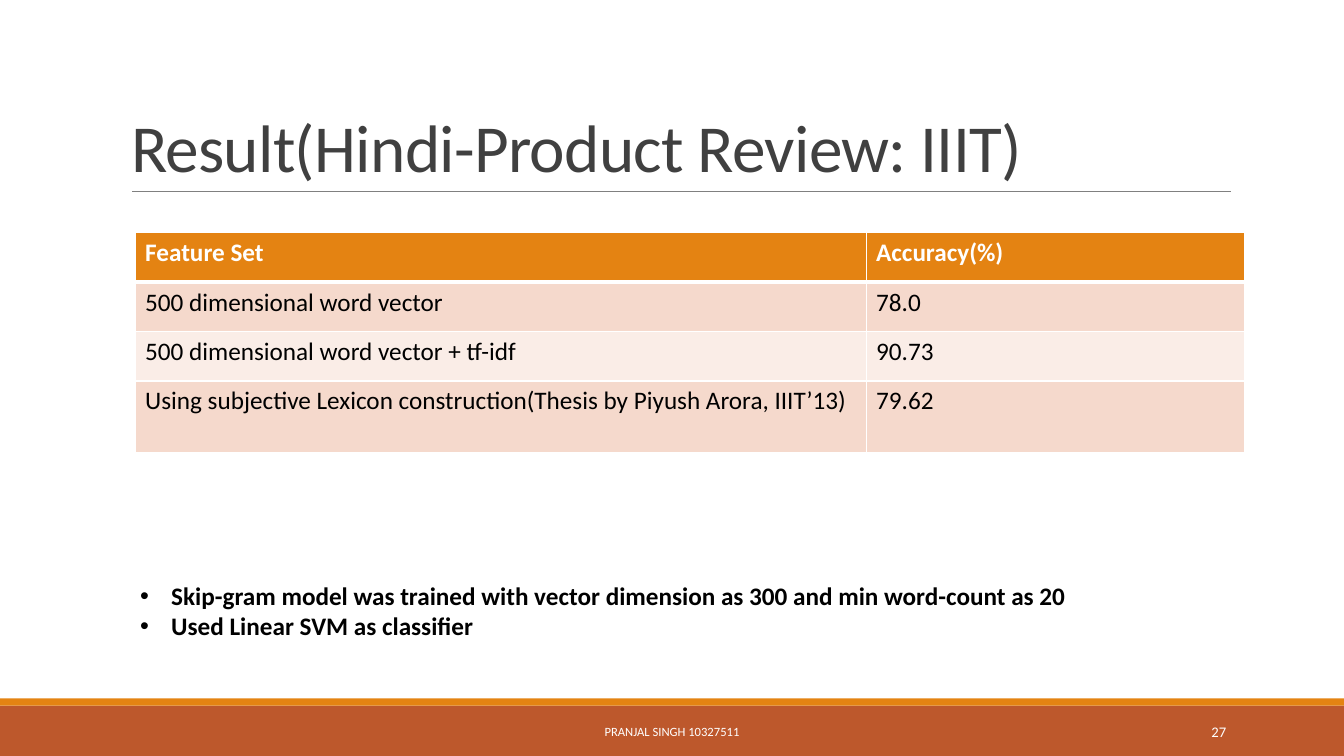
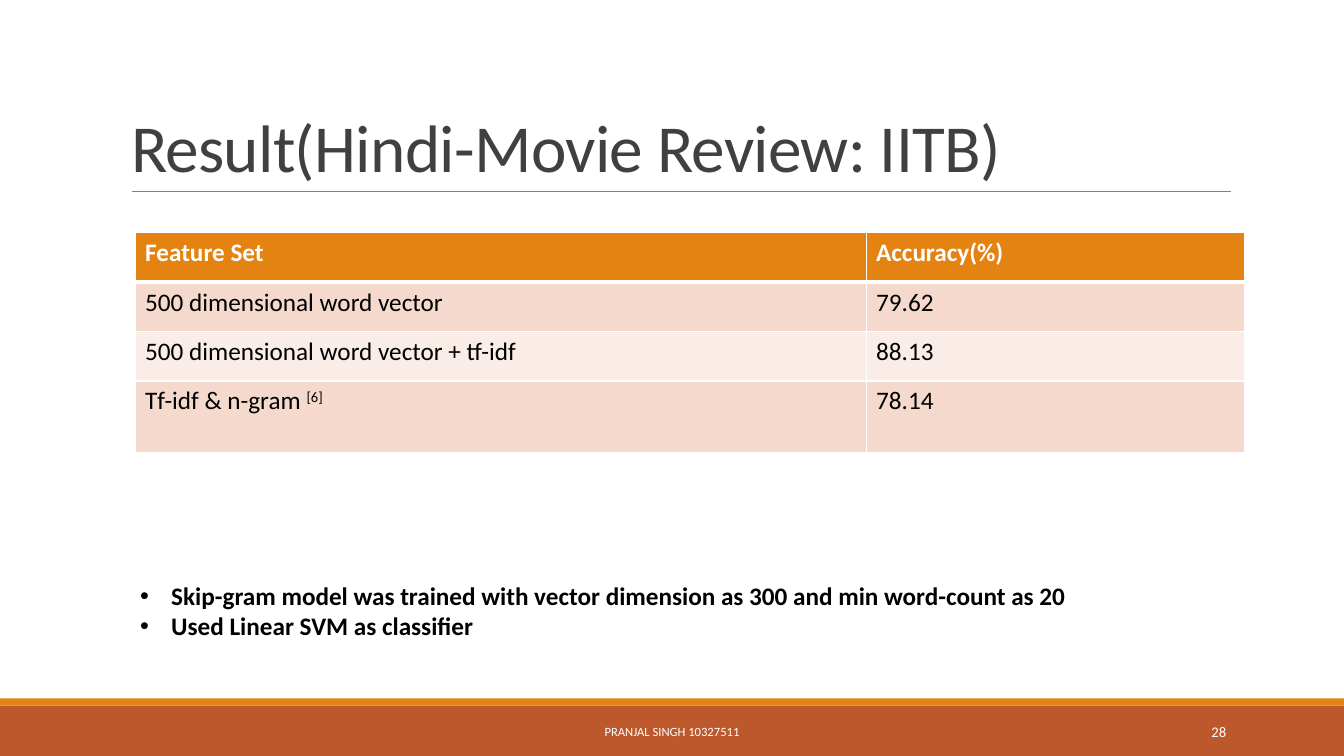
from lxml.etree import SubElement
from pptx import Presentation
from pptx.dml.color import RGBColor
from pptx.enum.shapes import MSO_CONNECTOR, MSO_SHAPE
from pptx.enum.text import MSO_ANCHOR, MSO_AUTO_SIZE, PP_ALIGN
from pptx.oxml.ns import qn
from pptx.util import Inches, Pt

FIRST_NUMBER = 27
FOOTER = "PRANJAL SINGH 10327511"
HEADER = ("Feature Set", "Accuracy(%)")
NOTES = (
    "Skip-gram model was trained with vector dimension as 300 and min word-count as 20",
    "Used Linear SVM as classifier",
)
RESULTS = [
    {
        "title": "Result(Hindi-Product Review: IIIT)",
        "rows": [
            ("500 dimensional word vector", "78.0"),
            ("500 dimensional word vector + tf-idf", "90.73"),
            ("Using subjective Lexicon construction(Thesis by Piyush Arora, IIIT’13)", "79.62"),
        ],
        "citation": "",
    },
    {
        "title": "Result(Hindi-Movie Review: IITB)",
        "rows": [
            ("500 dimensional word vector", "79.62"),
            ("500 dimensional word vector + tf-idf", "88.13"),
            ("Tf-idf & n-gram ", "78.14"),
        ],
        "citation": "[6]",
    },
]

WHITE = RGBColor(0xFF, 0xFF, 0xFF)
BLACK = RGBColor(0, 0, 0)
CHARCOAL = RGBColor(0x40, 0x40, 0x40)
GRAY = RGBColor(0x80, 0x80, 0x80)
ORANGE = RGBColor(0xE4, 0x83, 0x12)
RUST = RGBColor(0xBD, 0x58, 0x2C)
BAND_DARK = RGBColor(0xF5, 0xD9, 0xCC)
BAND_LIGHT = RGBColor(0xFA, 0xED, 0xE7)

TITLE_FONT = {"size": Pt(48), "color": CHARCOAL, "bold": False}
HEADER_FONT = {"size": Pt(18), "color": WHITE, "bold": True}
CELL_FONT = {"size": Pt(18), "color": BLACK, "bold": False}
NOTE_FONT = {"size": Pt(18), "color": BLACK, "bold": True}
FOOTER_FONT = {"size": Pt(9), "color": WHITE, "bold": False}
NUMBER_FONT = {"size": Pt(10.5), "color": WHITE, "bold": False}

BANDS = [((0, 7, 13.33, 0.5), RUST), ((0, 6.93, 13.33, 0.07), ORANGE)]
RULE = (1.31, 1.9, 12.21, 1.9)
TITLE_BOX = (1.2, 0.31, 11, 1.59)
TABLE_BOX = (1.34, 2.31, 11, 2.18)
FOOTER_BOX = (4.03, 7.06, 5.27, 0.4)
NUMBER_BOX = (10.83, 7.06, 1.43, 0.4)
NOTES_BOX = (1.29, 5.71, 10.81, 0.71)
COLUMN_WIDTHS = (7.25, 3.75)
ROW_HEIGHTS = (0.49, 0.49, 0.49, 0.71)


def inches(values):
    return [Inches(value) for value in values]


def add_run(paragraph, text, font_values):
    run = paragraph.add_run()
    run.text = text
    run.font.name = "Calibri"
    for name, value in font_values.items():
        if name == "color":
            run.font.color.rgb = value
        else:
            setattr(run.font, name, value)
    return run


def add_text_box(slide, box, anchor=MSO_ANCHOR.TOP):
    frame = slide.shapes.add_textbox(*inches(box)).text_frame
    frame.word_wrap = True
    frame.vertical_anchor = anchor
    return frame


def add_footer_text(slide, box, text, font_values, alignment):
    paragraph = add_text_box(slide, box, MSO_ANCHOR.MIDDLE).paragraphs[0]
    paragraph.alignment = alignment
    add_run(paragraph, text, font_values)


def add_frame(slide, number):
    for box, color in BANDS:
        band = slide.shapes.add_shape(MSO_SHAPE.RECTANGLE, *inches(box))
        band.shadow.inherit = False
        band.fill.solid()
        band.fill.fore_color.rgb = color
        band.line.fill.background()
    rule = slide.shapes.add_connector(MSO_CONNECTOR.STRAIGHT, *inches(RULE))
    rule.line.color.rgb = GRAY
    rule.line.width = Pt(0.5)
    SubElement(rule._element.spPr, qn("a:effectLst"))
    add_footer_text(slide, FOOTER_BOX, FOOTER, FOOTER_FONT, PP_ALIGN.CENTER)
    add_footer_text(slide, NUMBER_BOX, str(number), NUMBER_FONT, PP_ALIGN.RIGHT)


def set_title(slide, text):
    title = slide.shapes.title
    title.left, title.top, title.width, title.height = inches(TITLE_BOX)
    frame = title.text_frame
    frame.word_wrap = True
    frame.auto_size = MSO_AUTO_SIZE.NONE
    frame.vertical_anchor = MSO_ANCHOR.BOTTOM
    paragraph = frame.paragraphs[0]
    paragraph.alignment = PP_ALIGN.LEFT
    paragraph.line_spacing = 0.85
    run = add_run(paragraph, text, TITLE_FONT)
    run._r.get_or_add_rPr().set("spc", "-50")


def set_borders(cell, row_index):
    widths = {
        "a:lnL": 1,
        "a:lnR": 1,
        "a:lnT": 3 if row_index == 1 else 1,
        "a:lnB": 3 if row_index == 0 else 1,
    }
    properties = cell._tc.get_or_add_tcPr()
    for tag, width in widths.items():
        border = SubElement(properties, qn(tag), w=str(Pt(width)))
        fill = SubElement(border, qn("a:solidFill"))
        SubElement(fill, qn("a:srgbClr"), val=str(WHITE))


def add_result_table(slide, rows, citation):
    content = [HEADER, *rows]
    table = slide.shapes.add_table(len(content), len(HEADER), *inches(TABLE_BOX)).table
    for column, width in zip(table.columns, COLUMN_WIDTHS):
        column.width = Inches(width)
    for row, height in zip(table.rows, ROW_HEIGHTS):
        row.height = Inches(height)
    for row_index, texts in enumerate(content):
        fill = BAND_DARK if row_index % 2 else BAND_LIGHT
        if row_index == 0:
            fill = ORANGE
        for column_index, text in enumerate(texts):
            cell = table.cell(row_index, column_index)
            set_borders(cell, row_index)
            cell.fill.solid()
            cell.fill.fore_color.rgb = fill
            font_values = CELL_FONT if row_index else HEADER_FONT
            add_run(cell.text_frame.paragraphs[0], text, font_values)
    if citation:
        paragraph = table.cell(len(rows), 0).text_frame.paragraphs[0]
        run = add_run(paragraph, citation, CELL_FONT)
        run._r.get_or_add_rPr().set("baseline", "30000")


def add_notes_list(slide):
    frame = add_text_box(slide, NOTES_BOX)
    frame.auto_size = MSO_AUTO_SIZE.SHAPE_TO_FIT_TEXT
    for index, text in enumerate(NOTES):
        paragraph = frame.add_paragraph() if index else frame.paragraphs[0]
        properties = paragraph._p.get_or_add_pPr()
        properties.set("marL", str(Inches(0.31)))
        properties.set("indent", str(Inches(-0.31)))
        SubElement(properties, qn("a:buFont"), typeface="Arial")
        SubElement(properties, qn("a:buChar"), char="•")
        add_run(paragraph, text, NOTE_FONT)


presentation = Presentation()
presentation.slide_width = Inches(13.33)
presentation.slide_height = Inches(7.5)
title_only = presentation.slide_layouts[5]

for number, result in enumerate(RESULTS, FIRST_NUMBER):
    slide = presentation.slides.add_slide(title_only)
    add_frame(slide, number)
    set_title(slide, result["title"])
    add_result_table(slide, result["rows"], result["citation"])
    add_notes_list(slide)

presentation.save("out.pptx")
